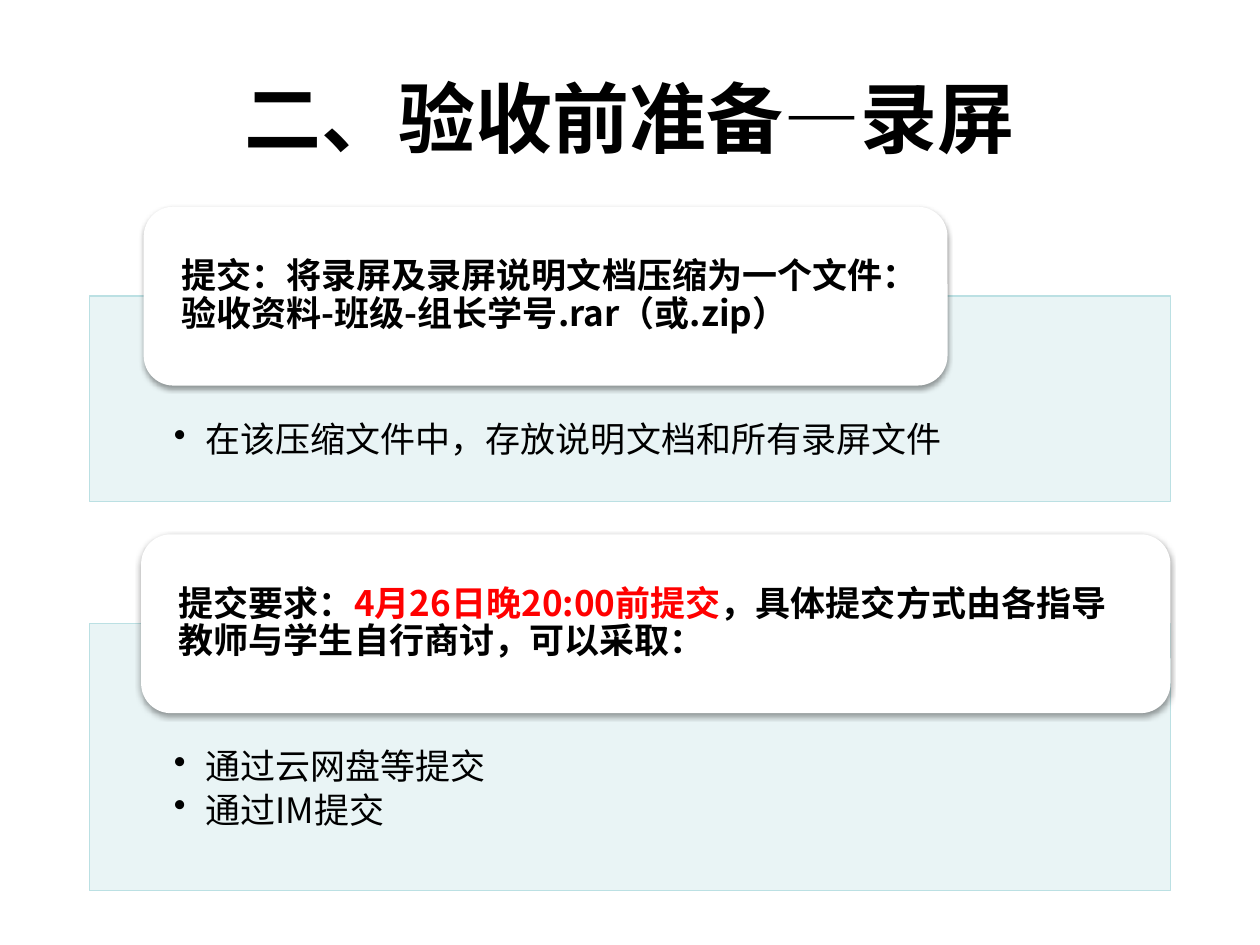
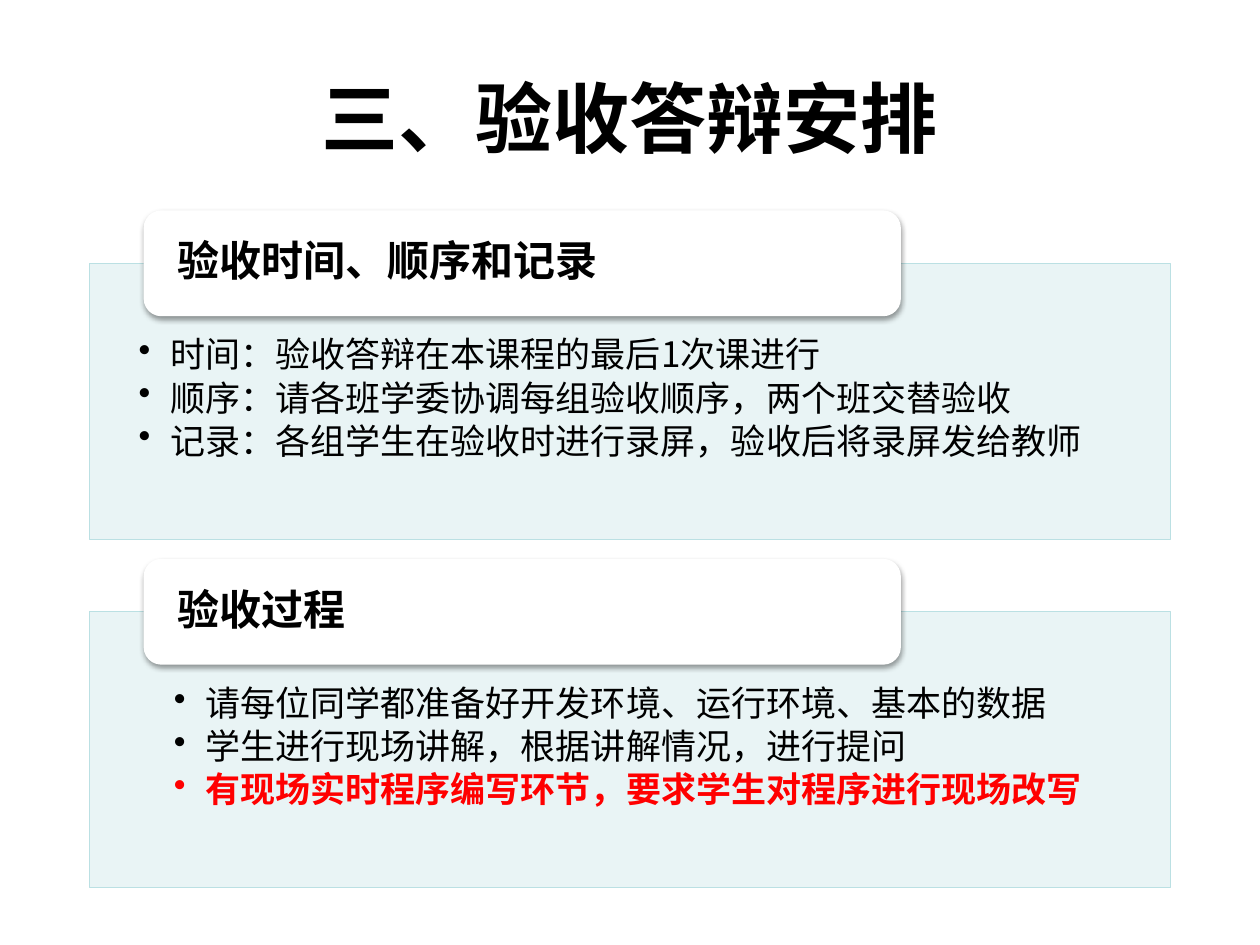
from lxml import etree
from pptx import Presentation
from pptx.dml.color import RGBColor
from pptx.enum.shapes import MSO_SHAPE
from pptx.enum.text import MSO_ANCHOR, PP_ALIGN
from pptx.oxml.ns import qn
from pptx.util import Pt

RECT, ROUNDED = MSO_SHAPE.RECTANGLE, MSO_SHAPE.ROUNDED_RECTANGLE
TOP, MIDDLE = MSO_ANCHOR.TOP, MSO_ANCHOR.MIDDLE
LEFT, CENTER = PP_ALIGN.LEFT, PP_ALIGN.CENTER
TITLE_ONLY = 5

COLORS = {"text": "000000", "alert": "FF0000", "panel": "E7F3F4",
          "edge": "BBE0E3", "card": "FFFFFF", "shadow": "000000"}
FONT = "Noto Sans CJK SC"
PANEL_LEFT, PANEL_WIDTH = 51.12, 617.76
CARD_LEFT = 82.08
CARD_INSET = 16.56
BULLET_INDENT = 18

TITLE_PARAGRAPH = {"alignment": CENTER, "space_before": Pt(12), "space_after": Pt(12)}
CARD_PARAGRAPH = {"alignment": LEFT, "line_spacing": 0.9}
BULLET_PARAGRAPH = {"alignment": LEFT, "line_spacing": 0.9, "level": 1,
                    "space_after": Pt(3)}

RECORDING_SECTIONS = [
    {"panel_top": 169.2, "panel_height": 117.36, "card_height": 102.24,
     "card_width": 459.36, "insets": (48.24, 72), "heading_size": 20,
     "heading": [("提交：将录屏及录屏说明文档压缩为一个文件："
                  "验收资料-班级-组长学号.rar（或.zip）", "text")],
     "bullets": [("在该压缩文件中，存放说明文档和所有录屏文件", "text")]},
    {"panel_top": 356.4, "panel_height": 152.64, "card_height": 102.24,
     "card_left": 80.64, "card_width": 588.24, "insets": (48.24, 72),
     "heading_size": 20,
     "heading": [("提交要求：", "text"), ("4月26日晚20:00前提交", "alert"),
                 ("，具体提交方式由各指导教师与学生自行商讨，可以采取：", "text")],
     "bullets": [("通过云网盘等提交", "text"), ("通过IM提交", "text")]},
]
DEFENSE_SECTIONS = [
    {"panel_top": 150.48, "panel_height": 157.68, "card_height": 60.48,
     "card_width": 432.72, "insets": (28.08, 42.48), "heading_size": 24,
     "heading": [("验收时间、顺序和记录", "text")],
     "bullets": [("时间：验收答辩在本课程的最后1次课进行", "text"),
                 ("顺序：请各班学委协调每组验收顺序，两个班交替验收", "text"),
                 ("记录：各组学生在验收时进行录屏，验收后将录屏发给教师", "text")]},
    {"panel_top": 349.6, "panel_height": 157.68, "card_height": 60.48,
     "card_width": 432.72, "insets": (48.24, 42.48), "heading_size": 24,
     "heading": [("验收过程", "text")],
     "bullets": [("请每位同学都准备好开发环境、运行环境、基本的数据", "text"),
                 ("学生进行现场讲解，根据讲解情况，进行提问", "text"),
                 ("有现场实时程序编写环节，要求学生对程序进行现场改写", "alert")]},
]


def rgb(color):
    """Return the named colour."""
    return RGBColor.from_string(COLORS[color])


def apply_format(target, values):
    """Set each attribute of the target from a dict."""
    for name, value in values.items():
        setattr(target, name, value)


def add_run(paragraph, text, size, color, bold):
    """Append a run in the deck's font."""
    run = paragraph.add_run()
    run.text = text
    apply_format(run.font, {"name": FONT, "size": Pt(size), "bold": bold})
    run.font.color.rgb = rgb(color)
    etree.SubElement(run.font._element, qn("a:ea"), typeface=FONT)


def set_frame(frame, anchor, side, top, bottom):
    """Set the wrapping, anchor and insets of a text frame."""
    apply_format(frame, {"word_wrap": True, "vertical_anchor": anchor,
                         "margin_left": Pt(side), "margin_right": Pt(side),
                         "margin_top": Pt(top), "margin_bottom": Pt(bottom)})


def add_bullet(paragraph):
    """Give the paragraph a hanging bullet."""
    properties = paragraph._p.get_or_add_pPr()
    properties.set("marL", str(Pt(BULLET_INDENT)))
    properties.set("indent", str(-Pt(BULLET_INDENT)))
    etree.SubElement(properties, qn("a:buChar"), char="•")


def add_box(slide, preset, bounds, color):
    """Add a filled shape without a shadow."""
    box = slide.shapes.add_shape(preset, *map(Pt, bounds))
    box.shadow.inherit = False
    box.fill.solid()
    box.fill.fore_color.rgb = rgb(color)
    return box


def add_color_alpha(color_element, percent):
    """Set the opacity of a colour element."""
    etree.SubElement(color_element, qn("a:alpha"), val=str(percent * 1000))


def add_soft_shadow(box):
    """Cast a soft shadow straight down."""
    effects = box._element.spPr.find(qn("a:effectLst"))
    shadow = etree.SubElement(effects, qn("a:outerShdw"), blurRad=str(Pt(3.1)),
                              dist=str(Pt(1.6)), dir="5400000", rotWithShape="0")
    color = etree.SubElement(shadow, qn("a:srgbClr"), val=COLORS["shadow"])
    add_color_alpha(color, 38)


def add_panel(slide, section):
    """Add the tinted panel with its bullet list."""
    bounds = PANEL_LEFT, section["panel_top"], PANEL_WIDTH, section["panel_height"]
    panel = add_box(slide, RECT, bounds, "panel")
    add_color_alpha(panel._element.spPr.find(".//" + qn("a:srgbClr")), 90)
    panel.line.color.rgb = rgb("edge")
    panel.line.width = Pt(0.75)
    side, top = section["insets"]
    frame = panel.text_frame
    set_frame(frame, TOP, side, top, 11.52)
    for index, (text, color) in enumerate(section["bullets"]):
        paragraph = frame.add_paragraph() if index else frame.paragraphs[0]
        apply_format(paragraph, BULLET_PARAGRAPH)
        add_bullet(paragraph)
        add_run(paragraph, text, 20, color, color == "alert")


def add_heading_card(slide, section):
    """Add the heading card centred on the panel's top edge."""
    height = section["card_height"]
    bounds = (section.get("card_left", CARD_LEFT), section["panel_top"] - height / 2,
              section["card_width"], height)
    card = add_box(slide, ROUNDED, bounds, "card")
    card.line.fill.background()
    add_soft_shadow(card)
    set_frame(card.text_frame, MIDDLE, CARD_INSET, 0, 0)
    paragraph = card.text_frame.paragraphs[0]
    size = section["heading_size"]
    apply_format(paragraph, CARD_PARAGRAPH | {"space_after": Pt(size * 0.35)})
    for text, color in section["heading"]:
        add_run(paragraph, text, size, color, True)


def add_title(slide, text):
    """Place and format the slide title."""
    title = slide.shapes.title
    apply_format(title, {"left": Pt(36), "top": Pt(21.6),
                         "width": Pt(648), "height": Pt(90)})
    title.text_frame.vertical_anchor = MIDDLE
    paragraph = title.text_frame.paragraphs[0]
    apply_format(paragraph, TITLE_PARAGRAPH)
    add_run(paragraph, text, 44, "text", True)


def add_section_slide(deck, title, sections):
    """Add a slide with a title and its sections."""
    slide = deck.slides.add_slide(deck.slide_layouts[TITLE_ONLY])
    add_title(slide, title)
    for section in sections:
        add_panel(slide, section)
        add_heading_card(slide, section)


def main():
    """Build and save the deck."""
    deck = Presentation()
    apply_format(deck, {"slide_width": Pt(720), "slide_height": Pt(540)})
    add_section_slide(deck, "二、验收前准备—录屏", RECORDING_SECTIONS)
    add_section_slide(deck, "三、验收答辩安排", DEFENSE_SECTIONS)
    deck.save("out.pptx")


if __name__ == "__main__":
    main()
